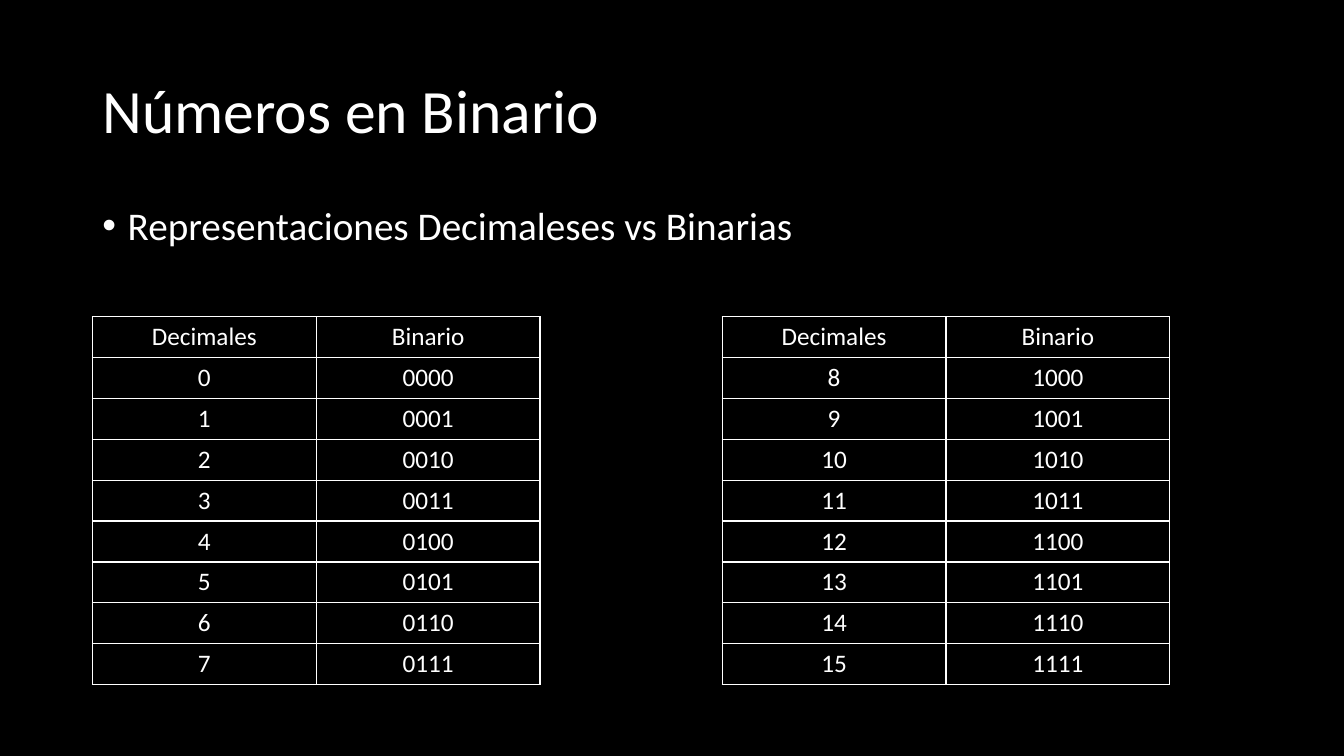
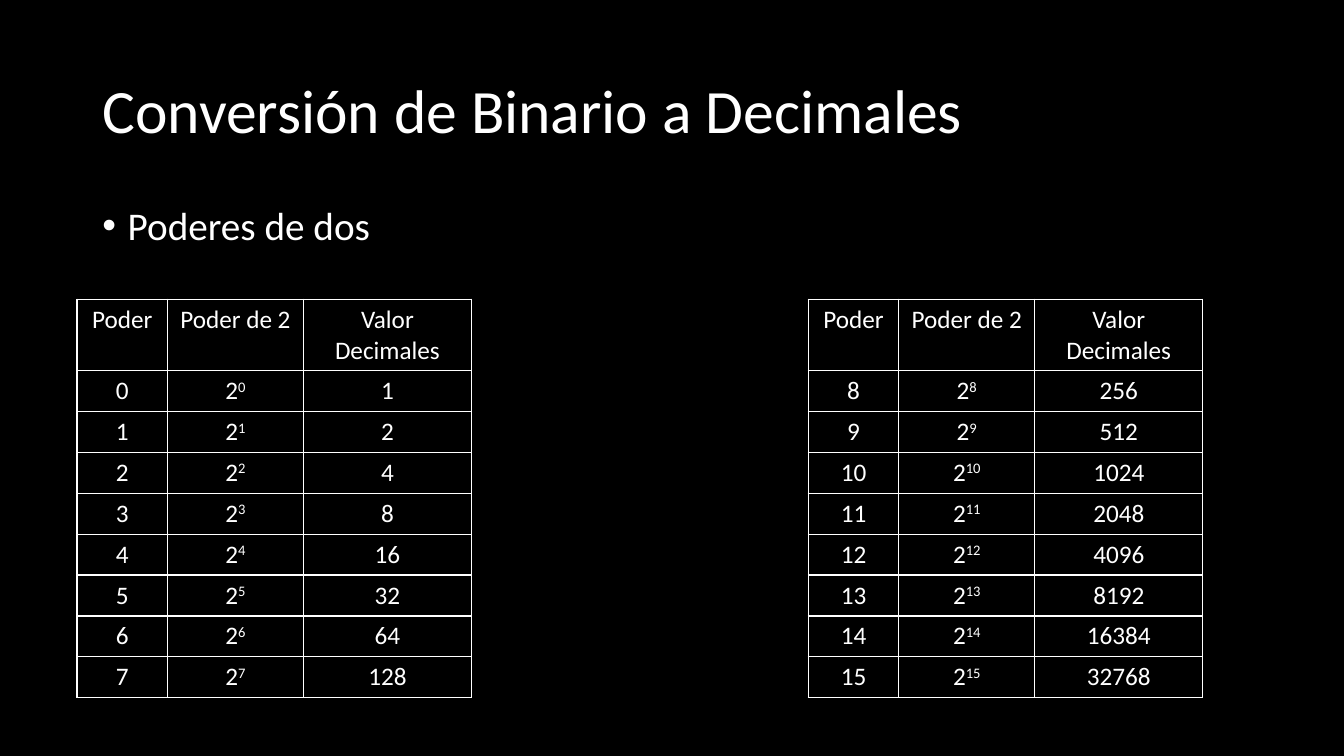
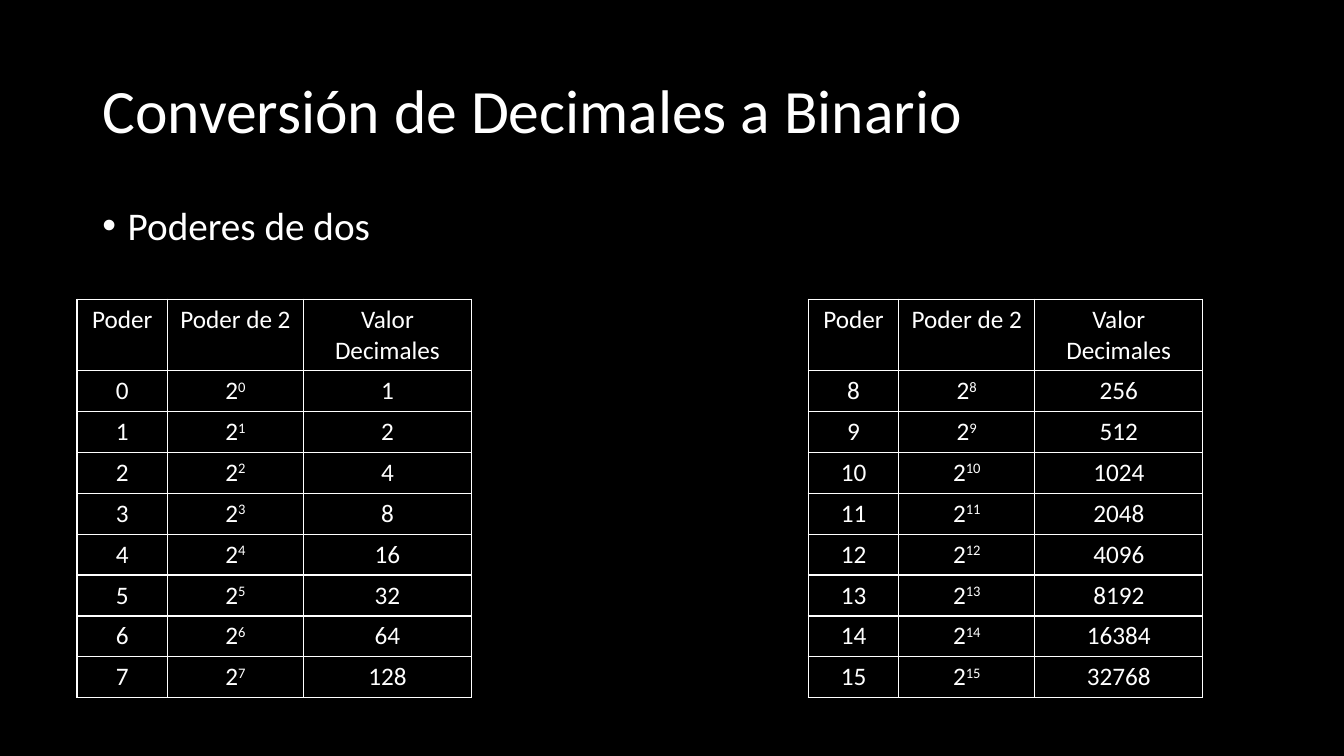
from lxml.etree import SubElement
from pptx import Presentation
from pptx.dml.color import RGBColor
from pptx.enum.text import MSO_ANCHOR as Anchor, PP_ALIGN as Align
from pptx.oxml import parse_xml
from pptx.oxml.ns import nsdecls, qn
from pptx.util import Cm, Pt

# Content
BINARY_HEADER = ["Decimales", "Binario"]
POWER_HEADER = ["Poder", "Poder de 2", "Valor Decimales"]
TABLE_RANGES = [range(0, 8), range(8, 16)]

# A cell is a text, or a pair of base and exponent
def binary_row(number):
    return [str(number), f"{number:04b}"]


def power_row(power):
    return [str(power), ("2", str(power)), str(2 ** power)]


BINARY_TABLES = {"header": BINARY_HEADER, "row": binary_row, "lefts": [2.33, 18.2],
                 "top": 7.98, "columns": [5.64, 5.64], "header_height": 1.03}
POWER_TABLES = {"header": POWER_HEADER, "row": power_row, "lefts": [1.94, 20.37],
                "top": 7.54, "columns": [2.28, 3.43, 4.23], "header_height": 1.8}
SLIDES = [
    ("Números en Binario", "Representaciones Decimaleses vs Binarias", BINARY_TABLES),
    ("Conversión de Binario a Decimales", "Poderes de dos", POWER_TABLES),
    ("Conversión de Decimales a Binario", "Poderes de dos", POWER_TABLES),
]

# Shared style
COLORS = {"background": "000000", "text": "FFFFFF", "border": "FFFFFF"}
FONT = "Calibri"
TITLE_BOX = (2.33, 1.02, 29.21, 3.68)
BODY_BOX = (2.33, 5.08, 30.35, 13.56)
ROW_HEIGHT = 1.03
BULLET_INDENT = Cm(0.64)


def write_text(frame, text, size=18, align=Align.LEFT, anchor=Anchor.TOP,
               line_spacing=1.0, bullet=False, exponent=None):
    frame.word_wrap = True
    frame.vertical_anchor = anchor
    paragraph = frame.paragraphs[0]
    paragraph.alignment = align
    paragraph.line_spacing = line_spacing
    if bullet:
        properties = paragraph._p.get_or_add_pPr()
        properties.set("marL", str(BULLET_INDENT))
        properties.set("indent", str(-BULLET_INDENT))
        SubElement(properties, qn("a:buFont")).set("typeface", "Arial")
        SubElement(properties, qn("a:buChar")).set("char", "•")
    for content in filter(None, (text, exponent)):
        run = paragraph.add_run()
        run.text = content
        run.font.name = FONT
        run.font.size = Pt(size)
        run.font.color.rgb = RGBColor.from_string(COLORS["text"])
        if content is exponent:
            run.font._element.set("baseline", "30000")


def add_text_box(slide, box, text, **text_format):
    shape = slide.shapes.add_textbox(*map(Cm, box))
    write_text(shape.text_frame, text, **text_format)


def add_borders(cell):
    properties = cell._tc.get_or_add_tcPr()
    for position, side in enumerate(("lnL", "lnR", "lnT", "lnB")):
        properties.insert(position, parse_xml(
            f'<a:{side} {nsdecls("a")} w="{Pt(1)}"><a:solidFill>'
            f'<a:srgbClr val="{COLORS["border"]}"/></a:solidFill></a:{side}>'))


def add_number_table(slide, left, numbers, layout):
    rows = [layout["header"]] + [layout["row"](number) for number in numbers]
    heights = [layout["header_height"]] + [ROW_HEIGHT] * len(numbers)
    widths = layout["columns"]
    table = slide.shapes.add_table(
        len(rows), len(widths), Cm(left), Cm(layout["top"]),
        Cm(sum(widths)), Cm(sum(heights))).table
    table.first_row = table.horz_banding = False
    for column, width in zip(table.columns, widths):
        column.width = Cm(width)
    for table_row, height, values in zip(table.rows, heights, rows):
        table_row.height = Cm(height)
        for cell, value in zip(table_row.cells, values):
            text, exponent = value if isinstance(value, tuple) else (value, None)
            cell.fill.background()
            add_borders(cell)
            write_text(cell.text_frame, text, align=Align.CENTER, exponent=exponent)


def main():
    presentation = Presentation()
    presentation.slide_width, presentation.slide_height = Cm(33.87), Cm(19.05)
    background = presentation.slide_master.background.fill
    background.solid()
    background.fore_color.rgb = RGBColor.from_string(COLORS["background"])

    for title, body, layout in SLIDES:
        slide = presentation.slides.add_slide(presentation.slide_layouts[6])
        add_text_box(slide, TITLE_BOX, title, size=44, anchor=Anchor.MIDDLE,
                     line_spacing=0.9)
        add_text_box(slide, BODY_BOX, body, size=28, line_spacing=0.9, bullet=True)
        for left, numbers in zip(layout["lefts"], TABLE_RANGES):
            add_number_table(slide, left, numbers, layout)

    presentation.save("out.pptx")


if __name__ == "__main__":
    main()
